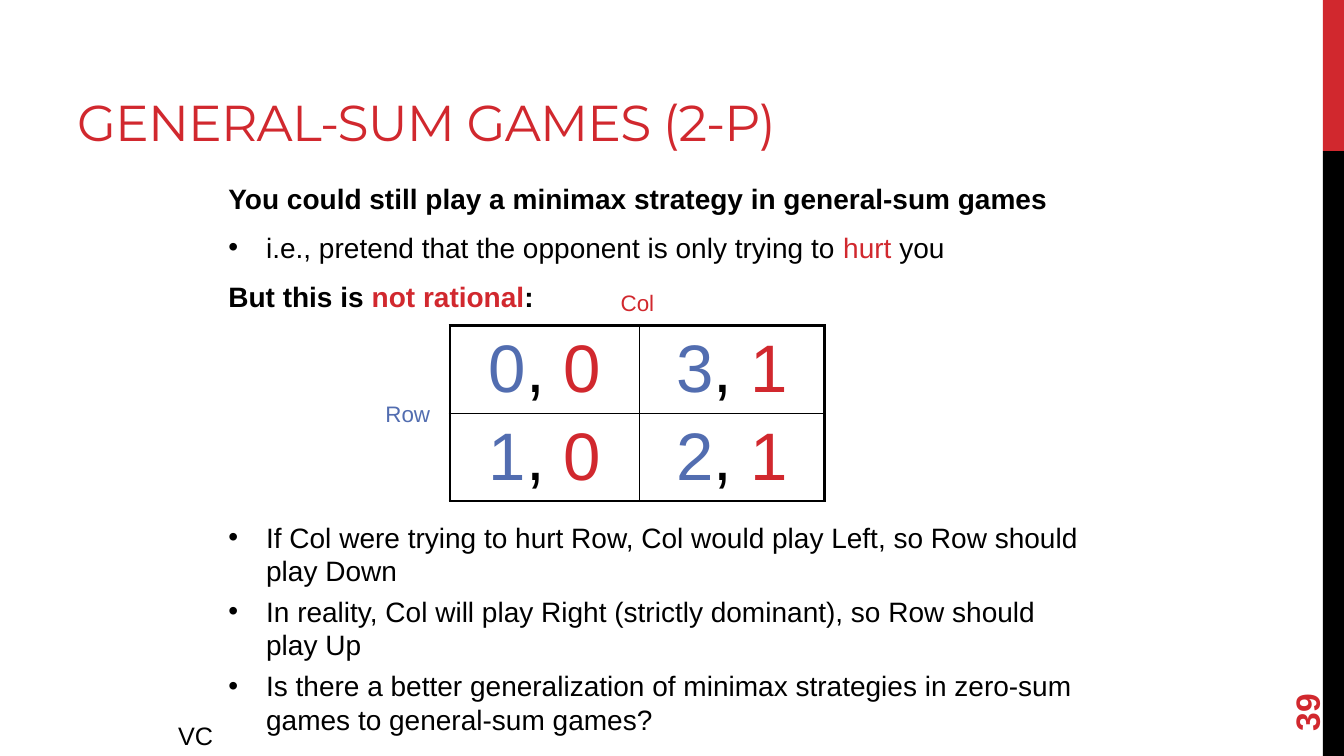
"""Build a slide on minimax play in general-sum two-player games."""
from lxml import etree
from pptx import Presentation
from pptx.dml.color import RGBColor
from pptx.enum.shapes import MSO_SHAPE
from pptx.enum.text import MSO_ANCHOR, PP_ALIGN
from pptx.oxml.ns import qn
from pptx.util import Pt

RED = RGBColor(0xD1, 0x28, 0x2E)
BLUE = RGBColor(0x52, 0x6D, 0xB0)
BLACK = RGBColor(0, 0, 0)
LEFT, CENTER = PP_ALIGN.LEFT, PP_ALIGN.CENTER
TOP, MIDDLE, BOTTOM = MSO_ANCHOR.TOP, MSO_ANCHOR.MIDDLE, MSO_ANCHOR.BOTTOM
RECTANGLE = MSO_SHAPE.RECTANGLE

WIDTH, HEIGHT = 960, 540
BAR_LEFT, BAR_SPLIT = 944.9, 108
THICK, THIN = 2.25, 1
INDENT = 27

TITLE = "GENERAL-SUM GAMES (2-P)"
INTRO = [
    {"bold": True, "runs": [("You could still play a minimax strategy in general-sum games", BLACK)]},
    {"bullet": True, "runs": [("i.e., pretend that the opponent is only trying to ", BLACK),
                              ("hurt", RED), (" you", BLACK)]},
    {"bold": True, "runs": [("But this is ", BLACK), ("not rational", RED), (":", BLACK)]},
]
CONCLUSIONS = [
    "If Col were trying to hurt Row, Col would play Left, so Row should play Down",
    "In reality, Col will play Right (strictly dominant), so Row should play Up",
    "Is there a better generalization of minimax strategies in zero-sum games to general-sum games?",
]
PAYOFFS = [[(0, 0), (3, 1)], [(1, 0), (2, 1)]]
TABLE_LEFT, TABLE_TOP = 321.4, 232.6
COLUMN_WIDTHS, ROW_HEIGHT = (135.6, 132.2), 60.7
LABELS = [
    ("Row", (247.7, 282.2, 87.1, 26.6), 16, BLUE, CENTER),
    ("Col", (411.8, 203, 87.1, 26.6), 16, RED, CENTER),
    ("VC", (120.2, 511.2, 40.3, 28.8), 18, BLACK, LEFT),
]


def add_run(paragraph, text, size, color, bold=False, font="Arial"):
    run = paragraph.add_run()
    run.text = text
    run.font.name = font
    run.font.size = Pt(size)
    run.font.bold = bold
    run.font.color.rgb = color
    return run


def add_bullet(paragraph):
    properties = paragraph._p.get_or_add_pPr()
    properties.set("marL", str(Pt(INDENT)))
    properties.set("indent", str(-Pt(INDENT)))
    etree.SubElement(properties, qn("a:buFont")).set("typeface", "Arial")
    etree.SubElement(properties, qn("a:buChar")).set("char", "•")


def add_box(slide, box, anchor=TOP):
    shape = slide.shapes.add_textbox(*map(Pt, box))
    shape.text_frame.word_wrap = True
    shape.text_frame.vertical_anchor = anchor
    return shape


def add_label(slide, text, box, size, color, alignment=LEFT, anchor=TOP, bold=False, font="Arial"):
    shape = add_box(slide, box, anchor)
    paragraph = shape.text_frame.paragraphs[0]
    paragraph.alignment = alignment
    return shape, add_run(paragraph, text, size, color, bold, font)


def add_points(slide, box, points, space_after):
    frame = add_box(slide, box).text_frame
    for index, point in enumerate(points):
        paragraph = frame.add_paragraph() if index else frame.paragraphs[0]
        paragraph.space_before = Pt(5 if index else 0)
        paragraph.space_after = Pt(space_after)
        if point.get("bullet"):
            add_bullet(paragraph)
        for text, color in point["runs"]:
            add_run(paragraph, text, 20, color, point.get("bold", False))


def add_bar(slide, top, height, color):
    bar = slide.shapes.add_shape(RECTANGLE, Pt(BAR_LEFT), Pt(top), Pt(WIDTH - BAR_LEFT), Pt(height))
    bar.shadow.inherit = False
    bar.fill.solid()
    bar.fill.fore_color.rgb = color
    bar.line.fill.background()


def set_borders(cell, widths):
    properties = cell._tc.get_or_add_tcPr()
    for index, (side, width) in enumerate(widths.items()):
        line = etree.Element(qn(f"a:ln{side}"), w=str(Pt(width)))
        fill = etree.SubElement(line, qn("a:solidFill"))
        etree.SubElement(fill, qn("a:srgbClr")).set("val", str(BLACK))
        properties.insert(index, line)


def add_payoffs(slide):
    rows, columns = len(PAYOFFS), len(COLUMN_WIDTHS)
    frame = slide.shapes.add_table(rows, columns, Pt(TABLE_LEFT), Pt(TABLE_TOP),
                                   Pt(sum(COLUMN_WIDTHS)), Pt(rows * ROW_HEIGHT))
    table = frame.table
    table.first_row = table.horz_banding = False
    for column, width in zip(table.columns, COLUMN_WIDTHS):
        column.width = Pt(width)
    for row_index, payoff_row in enumerate(PAYOFFS):
        table.rows[row_index].height = Pt(ROW_HEIGHT)
        for column_index, (row_payoff, column_payoff) in enumerate(payoff_row):
            cell = table.cell(row_index, column_index)
            cell.fill.background()
            cell.margin_top = cell.margin_bottom = Pt(2.5)
            cell.vertical_anchor = MIDDLE
            paragraph = cell.text_frame.paragraphs[0]
            paragraph.alignment = CENTER
            for text, color in ((str(row_payoff), BLUE), (", ", BLACK), (str(column_payoff), RED)):
                add_run(paragraph, text, 48, color)
            set_borders(cell, {
                "L": THICK if column_index == 0 else THIN,
                "R": THICK if column_index == columns - 1 else THIN,
                "T": THICK if row_index == 0 else THIN,
                "B": THICK if row_index == rows - 1 else THIN,
            })


def main():
    presentation = Presentation()
    presentation.slide_width, presentation.slide_height = Pt(WIDTH), Pt(HEIGHT)
    slide = presentation.slides.add_slide(presentation.slide_layouts[6])
    add_bar(slide, 0, BAR_SPLIT, RED)
    add_bar(slide, BAR_SPLIT, HEIGHT - BAR_SPLIT, BLACK)
    _, title_run = add_label(slide, TITLE, (48, 21.6, 864, 90), 36, RED, anchor=BOTTOM, font="Montserrat")
    title_run.font._element.set("spc", "-60")
    add_points(slide, (156, 126, 630, 356.4), INTRO, 6)
    add_payoffs(slide)
    conclusions = [{"bullet": True, "runs": [(text, BLACK)]} for text in CONCLUSIONS]
    add_points(slide, (156, 368, 630, 147.6), conclusions, 0)
    for label in LABELS:
        add_label(slide, *label)
    number, _ = add_label(slide, "39", (881.3, 458.6, 103.7, 38.2), 24, RED, anchor=MIDDLE, bold=True)
    number.rotation = 270
    presentation.save("out.pptx")


if __name__ == "__main__":
    main()
